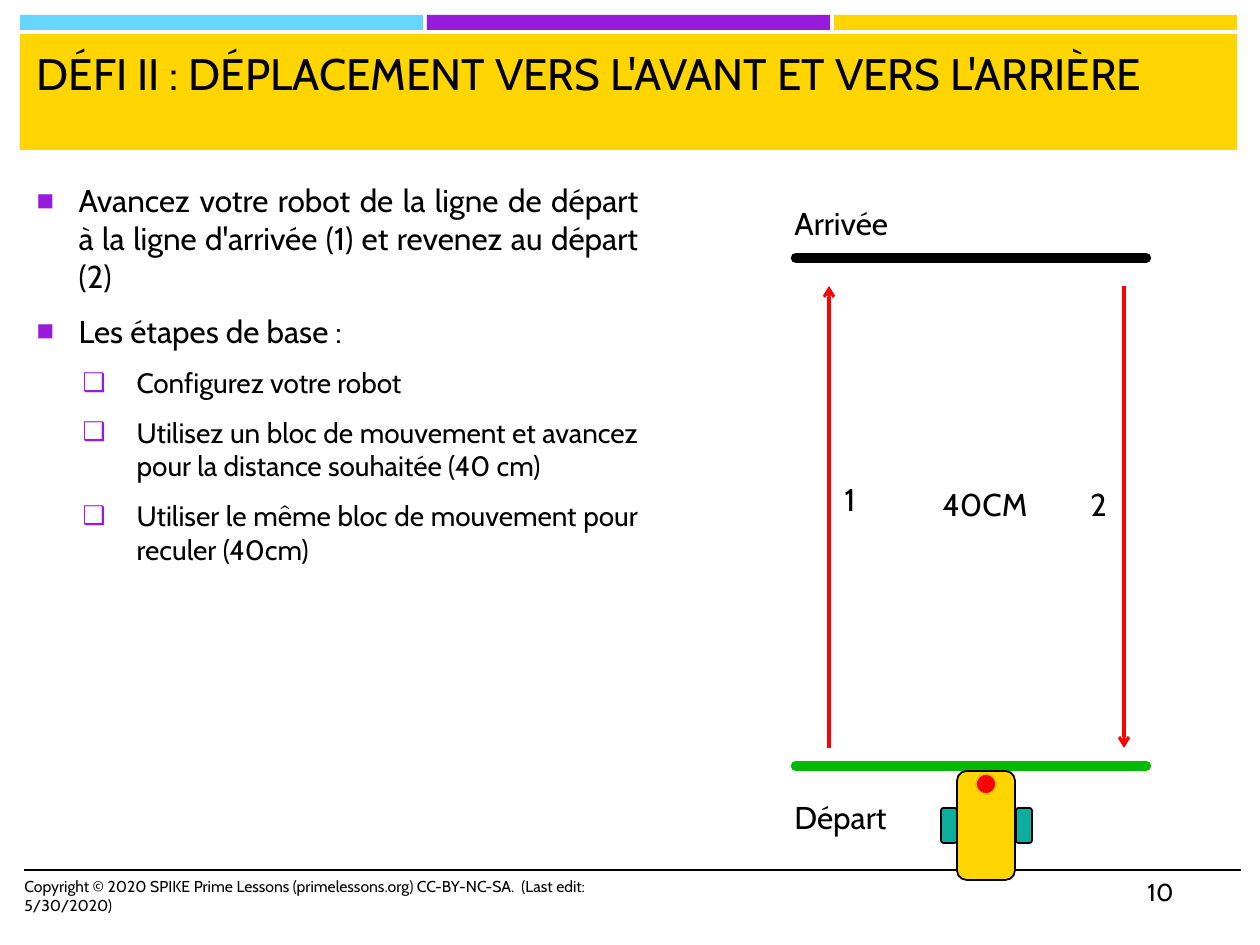
from pptx import Presentation
from pptx.dml.color import RGBColor
from pptx.enum.shapes import MSO_CONNECTOR, MSO_SHAPE
from pptx.enum.text import MSO_ANCHOR, MSO_AUTO_SIZE, PP_ALIGN
from pptx.oxml.ns import qn
from pptx.util import Pt
from lxml.etree import SubElement

PX = 914400 / 126  # EMU in one px
FONT = "Cabin"
BLACK = RGBColor(0x00, 0x00, 0x00)
YELLOW = RGBColor(0xFF, 0xD5, 0x00)
GOLD = RGBColor(0xE6, 0xC0, 0x00)
BLUE = RGBColor(0x65, 0xD7, 0xFF)
PURPLE = RGBColor(0x96, 0x1B, 0xDB)
GREEN = RGBColor(0x00, 0xB9, 0x00)
RED = RGBColor(0xFF, 0x00, 0x00)
TEAL = RGBColor(0x0E, 0xAE, 0x9F)


def emu(*lengths):
    return [round(length * PX) for length in lengths]


def write(paragraph, text, size=18, color=BLACK, align=PP_ALIGN.LEFT):
    paragraph.alignment = align
    run = paragraph.add_run()
    run.text = text
    run.font.name = FONT
    run.font.size = Pt(size)
    run.font.color.rgb = color


presentation = Presentation()
presentation.slide_width, presentation.slide_height = emu(1260, 945)
slide = presentation.slides.add_slide(presentation.slide_layouts[1])
shapes = slide.shapes
title, body = shapes.title, slide.placeholders[1]

# Coloured bands at the top
bands = [(20 + 407 * index, 15, 403, 15, color)
         for index, color in enumerate((BLUE, PURPLE, YELLOW))]
bands.append((20, 34, 1217, 116, YELLOW))
for left, top, width, height, color in bands:
    band = shapes.add_shape(MSO_SHAPE.RECTANGLE, *emu(left, top, width, height))
    band.shadow.inherit = False
    band.fill.solid()
    band.fill.fore_color.rgb = color
    band.line.fill.background()

# Title and body stand in front of the bands
for placeholder, box in ((title, (24, 40, 1206, 103)), (body, (24, 175, 627, 602))):
    shapes.element.append(placeholder.element)
    placeholder.left, placeholder.top, placeholder.width, placeholder.height = emu(*box)
    placeholder.text_frame.auto_size = MSO_AUTO_SIZE.NONE
    placeholder.text_frame.vertical_anchor = MSO_ANCHOR.TOP
write(title.text_frame.paragraphs[0],
      "DÉFI II : DÉPLACEMENT VERS L'AVANT ET VERS L'ARRIÈRE", size=25.2)

# Steps: level, text
steps = [
    (0, "Avancez votre robot de la ligne de départ à la ligne d'arrivée (1) "
        "et revenez au départ (2)"),
    (0, "Les étapes de base :"),
    (1, "Configurez votre robot"),
    (1, "Utilisez un bloc de mouvement et avancez pour la distance souhaitée (40 cm)"),
    (1, "Utiliser le même bloc de mouvement pour reculer (40cm)"),
]
level_formats = [("■", 42, 42, 18), ("❑", 100, 54, 16)]  # bullet, margin, hang, size
for index, (level, text) in enumerate(steps):
    bullet, margin, hang, size = level_formats[level]
    frame = body.text_frame
    paragraph = frame.add_paragraph() if index else frame.paragraphs[0]
    paragraph.level = level
    properties = paragraph._p.get_or_add_pPr()
    margin, hang = emu(margin, hang)
    properties.set("marL", str(margin))
    properties.set("indent", str(-hang))
    bullet_color = SubElement(properties, qn("a:buClr"))
    SubElement(bullet_color, qn("a:srgbClr"), val=str(PURPLE))
    SubElement(properties, qn("a:buSzPct"), val="92000")
    SubElement(properties, qn("a:buChar"), char=bullet)
    paragraph.space_after = Pt(6)
    if index == 0:
        paragraph.space_before = Pt(0)
    write(paragraph, text, size=size, align=PP_ALIGN.JUSTIFY)

# Footer rule, finish and start lines, arrows of the two runs
lines = [
    (24, 870, 1241, 870, BLACK, 1, None),
    (1146, 258, 796, 258, BLACK, 6, "round"),
    (1146, 766, 796, 766, GREEN, 6, "round"),
    (829, 748, 829, 286, RED, 1.75, "arrow"),
    (1124, 286, 1124, 748, RED, 1.75, "arrow"),
]
for x1, y1, x2, y2, color, width, ending in lines:
    line = shapes.add_connector(MSO_CONNECTOR.STRAIGHT, *emu(x1, y1, x2, y2))
    line.line.color.rgb = color
    line.line.width = Pt(width)
    SubElement(line.element.spPr, qn("a:effectLst"))
    outline = line.line._get_or_add_ln()
    if ending == "round":
        outline.set("cap", "rnd")
    elif ending == "arrow":
        SubElement(outline, qn("a:tailEnd"), type="arrow")

# Robot
robot = shapes.add_group_shape()
robot_parts = [
    (MSO_SHAPE.ROUNDED_RECTANGLE, 957, 771, 58, 109, YELLOW, BLACK),
    (MSO_SHAPE.ROUNDED_RECTANGLE, 1016, 808, 16, 35, TEAL, BLACK),
    (MSO_SHAPE.ROUNDED_RECTANGLE, 941, 808, 16, 35, TEAL, BLACK),
    (MSO_SHAPE.OVAL, 976, 774, 20, 20, RED, GOLD),
]
for kind, left, top, width, height, fill, outline in robot_parts:
    part = robot.shapes.add_shape(kind, *emu(left, top, width, height))
    part.shadow.inherit = False
    part.fill.solid()
    part.fill.fore_color.rgb = fill
    part.line.color.rgb = outline
    part.line.width = Pt(1)

# Labels, copyright line and page number
labels = [
    ("1", 832, 474, 43, 18, True),
    ("2", 1078, 479, 43, 18, True),
    ("40CM", 930, 479, 113, 18, True),
    ("Arrivée", 782, 198, 123, 18, False),
    ("Départ", 782, 792, 117, 18, False),
    ("Copyright © 2020 SPIKE Prime Lessons (primelessons.org) CC-BY-NC-SA.  "
     "(Last edit: 5/30/2020)", 12, 871, 672, 9, True),
    ("10", 1135, 871, 106, 14, True),
]
for text, left, top, width, size, wrap in labels:
    label = shapes.add_textbox(*emu(left, top, width, 50))
    label.text_frame.word_wrap = wrap
    write(label.text_frame.paragraphs[0], text, size=size)

presentation.save("out.pptx")
